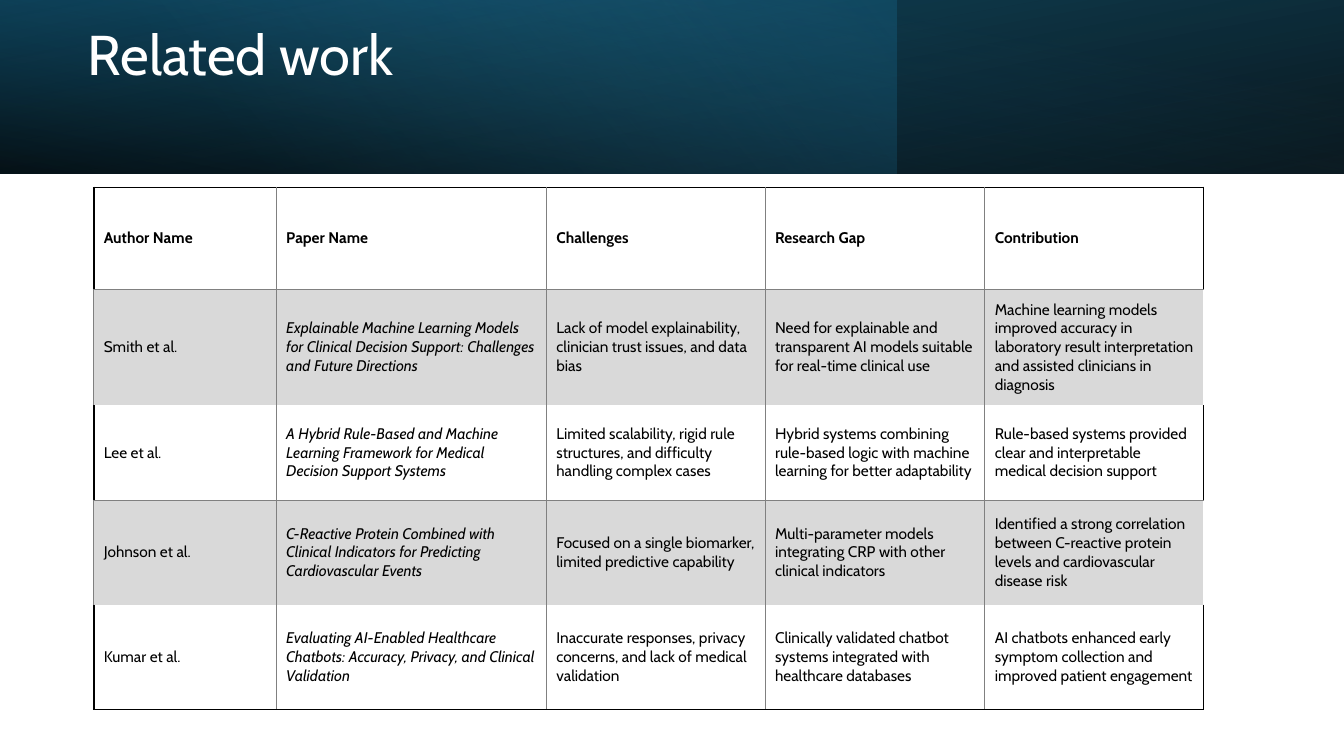
from dataclasses import dataclass

from lxml import etree
from pptx import Presentation
from pptx import util as u
from pptx.dml.color import RGBColor
from pptx.enum import shapes, text
from pptx.oxml import ns

PX = 9144  # EMU in one px, 100 px to the inch


@dataclass(frozen=True)
class Theme:
    font: str = "Cabin"
    title_size: int = 40
    table_size: int = 11
    white: str = "FFFFFF"
    black: str = "000000"
    shade: str = "D9D9D9"
    grid: str = "808080"
    navy: str = "104862"
    teal: str = "156082"
    sky: str = "46B1E1"
    frame_width: float = 1.5
    grid_width: float = 0.5


THEME = Theme()
FRAME = (THEME.black, THEME.frame_width)
GRID = (THEME.grid, THEME.grid_width)

COLUMN_WIDTHS = [181, 268, 217, 218, 217]
ROW_HEIGHTS = [101, 115, 94, 104, 104]
PAPER_COLUMN = 1
ROWS = [
    ["Author Name", "Paper Name", "Challenges", "Research Gap", "Contribution"],
    ["Smith et al.",
     "Explainable Machine Learning Models for Clinical Decision Support: Challenges and Future Directions",
     "Lack of model explainability, clinician trust issues, and data bias",
     "Need for explainable and transparent AI models suitable for real-time clinical use",
     "Machine learning models improved accuracy in laboratory result interpretation "
     "and assisted clinicians in diagnosis"],
    ["Lee et al.",
     "A Hybrid Rule-Based and Machine Learning Framework for Medical Decision Support Systems",
     "Limited scalability, rigid rule structures, and difficulty handling complex cases",
     "Hybrid systems combining rule-based logic with machine learning for better adaptability",
     "Rule-based systems provided clear and interpretable medical decision support"],
    ["Johnson et al.",
     "C-Reactive Protein Combined with Clinical Indicators for Predicting Cardiovascular Events",
     "Focused on a single biomarker, limited predictive capability",
     "Multi-parameter models integrating CRP with other clinical indicators",
     "Identified a strong correlation between C-reactive protein levels and cardiovascular disease risk"],
    ["Kumar et al.",
     "Evaluating AI-Enabled Healthcare Chatbots: Accuracy, Privacy, and Clinical Validation",
     "Inaccurate responses, privacy concerns, and lack of medical validation",
     "Clinically validated chatbot systems integrated with healthcare databases",
     "AI chatbots enhanced early symptom collection and improved patient engagement"],
]


def px(*lengths):
    return [u.Emu(length * PX) for length in lengths]


def add_child(parent, tag, **attributes):
    child = etree.SubElement(parent, ns.qn(tag))
    for name, value in attributes.items():
        child.set(name, str(value))
    return child


def style_text(para, size, color, bold=False, italic=False):
    for span in para.runs:
        span.font.name = THEME.font
        span.font.size = u.Pt(size)
        span.font.bold = bold
        span.font.italic = italic
        span.font.color.rgb = RGBColor.from_string(color)


def add_band(page, width, stops, angle, flipped=False, rotation=0):
    """Draw a header band; stops are (position %, colour, opacity %)."""
    band = page.shapes.add_shape(shapes.MSO_SHAPE.RECTANGLE, *px(0, 0, width, 172))
    band.shadow.inherit = False
    band.line.fill.background()
    band.rotation = rotation
    if flipped:
        band._element.spPr.find(ns.qn("a:xfrm")).set("flipH", "1")
    band.fill.gradient()
    gradient = band._element.spPr.find(ns.qn("a:gradFill"))
    gradient.set("rotWithShape", "1")
    for child in list(gradient):
        gradient.remove(child)
    stop_list = add_child(gradient, "a:gsLst")
    for position, color, opacity in stops:
        stop = add_child(stop_list, "a:gs", pos=position * 1000)
        tint = add_child(stop, "a:srgbClr", val=color)
        add_child(tint, "a:alpha", val=opacity * 1000)
    add_child(gradient, "a:lin", ang=angle * 60000, scaled=0)


def place_title(page, wording):
    title = page.shapes.title
    title.left, title.top, title.width, title.height = px(77, 27, 772, 127)
    frame = title.text_frame
    frame.text = wording
    frame.word_wrap = True
    frame.auto_size = text.MSO_AUTO_SIZE.NONE
    frame.vertical_anchor = text.MSO_ANCHOR.TOP
    frame.margin_top = 0
    para = frame.paragraphs[0]
    para.alignment = text.PP_ALIGN.LEFT
    para.line_spacing = 0.9
    style_text(para, THEME.title_size, THEME.white)
    # Bring the title in front of the bands
    page.shapes._spTree.append(title._element)


def cell_borders(row, column):
    """Return the left, right, top and bottom lines of a cell."""
    first, last = column == 0, column == len(COLUMN_WIDTHS) - 1
    if row % 2:  # shaded rows carry no frame
        return GRID, None if last else GRID, GRID, None
    return (FRAME if first else GRID,
            FRAME if last else GRID,
            FRAME if row == 0 else None,
            FRAME if row == len(ROWS) - 1 else GRID)


def draw_borders(cell, borders):
    properties = cell._tc.get_or_add_tcPr()
    for side, border in zip("LRTB", borders):
        line = add_child(properties, f"a:ln{side}")
        if border is None:
            add_child(line, "a:noFill")
            continue
        color, width = border
        line.set("w", str(u.Pt(width)))
        add_child(add_child(line, "a:solidFill"), "a:srgbClr", val=color)


def fill_cell(cell, wording, row, column):
    cell.text = wording
    cell.vertical_anchor = text.MSO_ANCHOR.MIDDLE
    cell.margin_left, cell.margin_right, cell.margin_top, cell.margin_bottom = px(10, 8, 8, 8)
    style_text(cell.text_frame.paragraphs[0], THEME.table_size, THEME.black,
               bold=row == 0, italic=row > 0 and column == PAPER_COLUMN)
    draw_borders(cell, cell_borders(row, column))
    if row % 2:
        cell.fill.solid()
        cell.fill.fore_color.rgb = RGBColor.from_string(THEME.shade)
    else:
        cell.fill.background()


def add_paper_table(page):
    size = px(93, 186, sum(COLUMN_WIDTHS), sum(ROW_HEIGHTS))
    table = page.shapes.add_table(len(ROWS), len(COLUMN_WIDTHS), *size).table
    table.first_row = table.horz_banding = False
    for column, width in zip(table.columns, px(*COLUMN_WIDTHS)):
        column.width = width
    for row, height in zip(table.rows, px(*ROW_HEIGHTS)):
        row.height = height
    for row, wordings in enumerate(ROWS):
        for column, wording in enumerate(wordings):
            fill_cell(table.cell(row, column), wording, row, column)


def main():
    deck = Presentation()
    deck.slide_width, deck.slide_height = u.Emu(12192000), u.Emu(6858000)
    page = deck.slides.add_slide(deck.slide_layouts.get_by_name("Title Only"))

    # Header: three layered gradients
    add_band(page, 1333, [(0, THEME.black, 96), (100, THEME.navy, 100)], 100,
             flipped=True, rotation=180)
    add_band(page, 889, [(0, THEME.teal, 41), (74, THEME.sky, 0)], 140)
    add_band(page, 1333, [(0, THEME.black, 63), (78, THEME.teal, 15)], 260, flipped=True)
    place_title(page, "Related work")

    # Literature comparison
    add_paper_table(page)
    deck.save("out.pptx")


if __name__ == "__main__":
    main()
